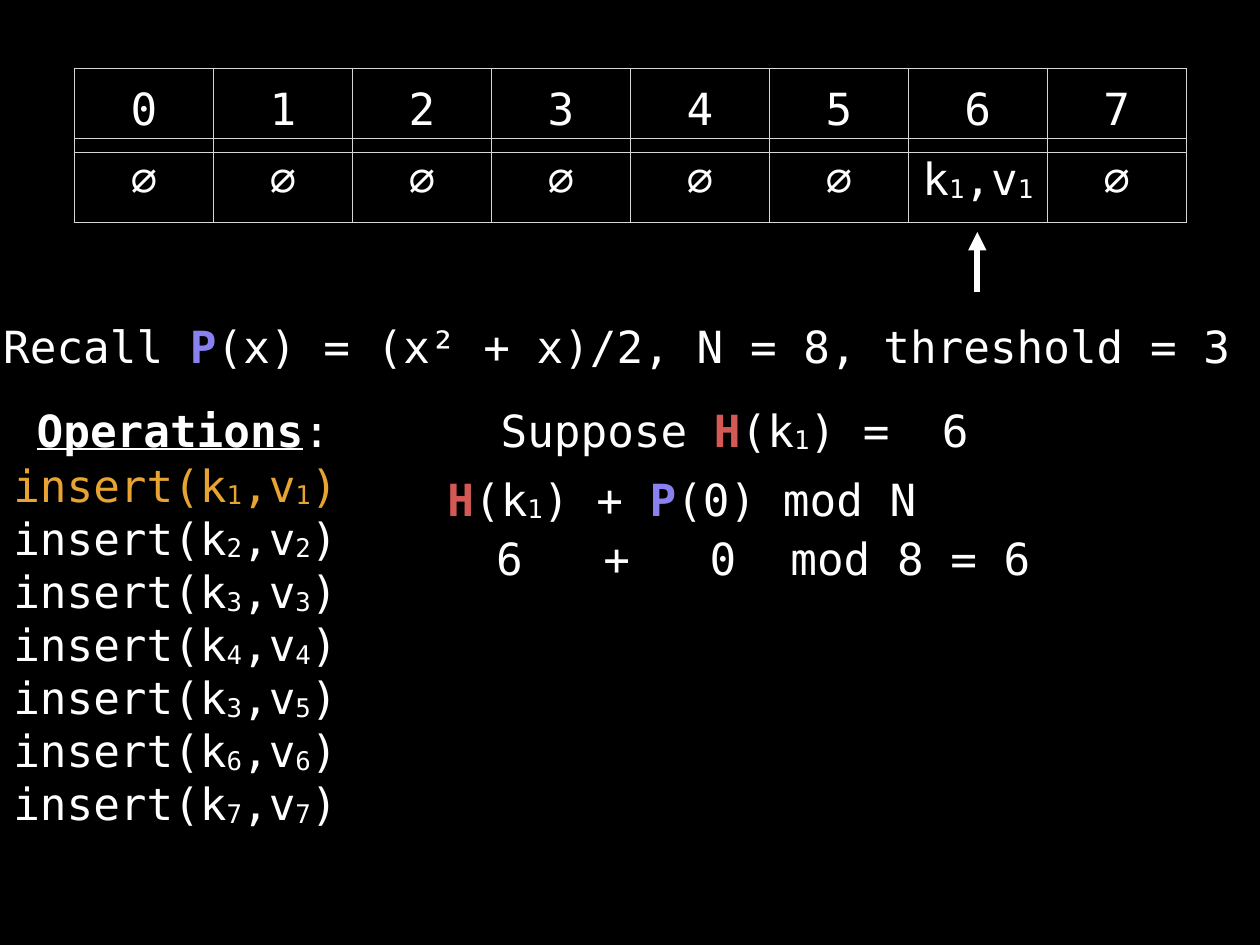
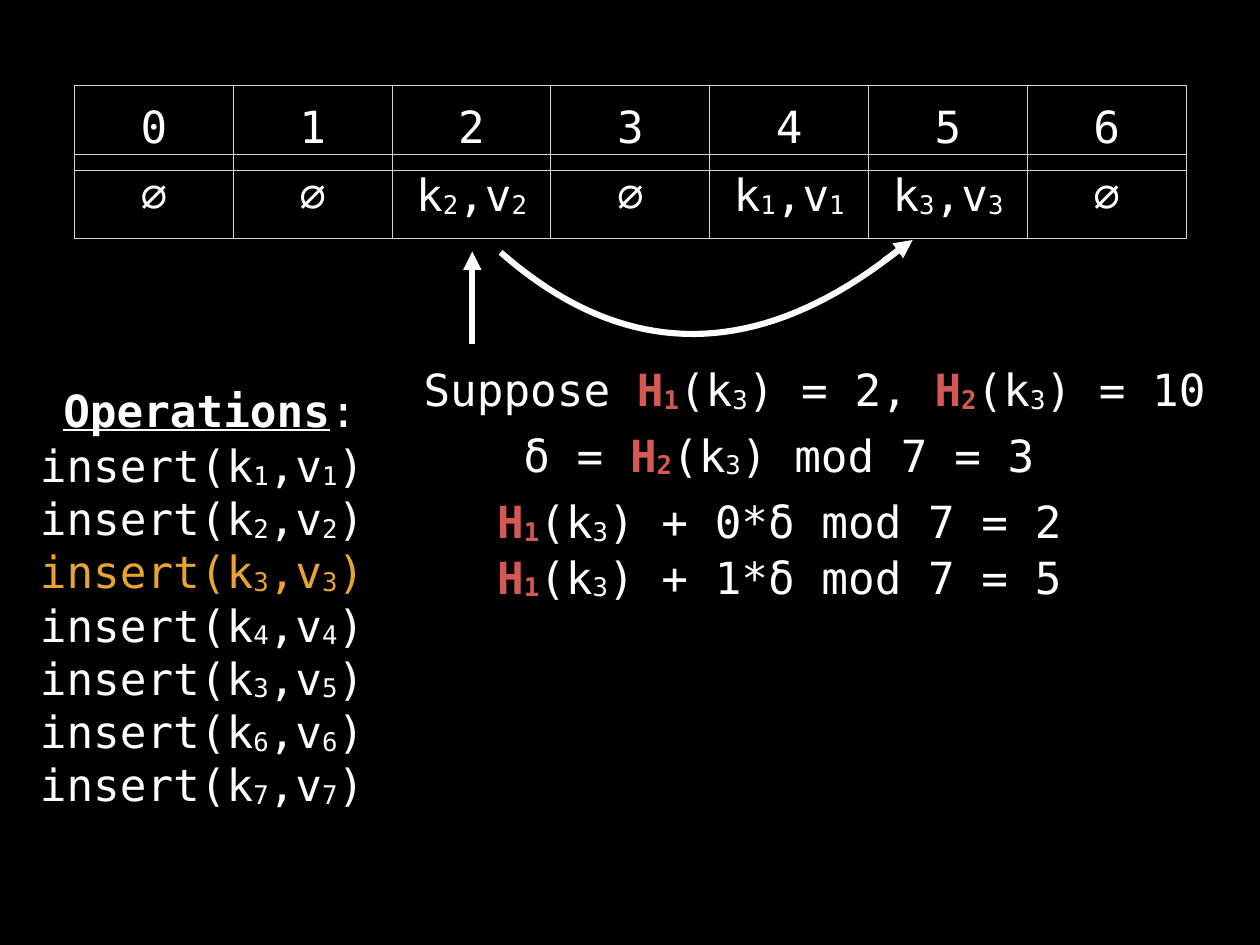
import pptx
import pptx.dml.color
import pptx.enum.shapes
import pptx.enum.text
import pptx.oxml
import pptx.oxml.ns
import pptx.util
from pptx.util import Inches

FONT = "DejaVu Sans Mono"
SIZE = 36
WHITE, BLACK, GRID, ACTIVE = "FFFFFF", "000000", "D6D6D6", "E8A432"
FUNCTION_COLORS = {"H": "D45854", "P": "8981F0"}
EMPTY = "∅"
INSET = 0.06
LINE_HEIGHT = 0.68
TABLE_LEFT, TABLE_WIDTH, TABLE_HEIGHT = 0.84, 12.55, 0.95

# Content: "_" puts the next character in subscript, H and P are coloured
OPERATIONS = ["insert(k_1,v_1)", "insert(k_2,v_2)", "insert(k_3,v_3)", "insert(k_4,v_4)",
              "insert(k_3,v_5)", "insert(k_6,v_6)", "insert(k_7,v_7)"]

# Each line of working: text, left, top, width, centred, tab stops
SLIDES = [
    {
        "slots": [EMPTY] * 6 + ["k_1,v_1", EMPTY],
        "index_top": 0.77, "slot_top": 1.56,
        "heading": (0.35, 4.49), "list": (0.09, 5.11), "active": 0,
        "working": [
            ("Recall P(x) = (x² + x)/2, N = 8, threshold = 3", 0, 3.55, 13.92, True, []),
            ("Suppose H(k_1) =\t6", 5.59, 4.49, 5.44, False, [4.98]),
            ("H(k_1) + P(0) mod N", 4.99, 5.27, 5.6, False, []),
            ("\t6\t+\t0\tmod 8 = 6", 4.94, 5.94, 6.9, False, [0.6, 1.81, 3.01, 3.92]),
        ],
        "arrows": [((11.03, 3.3), (11.03, 2.62))],
        "curve": None,
    },
    {
        "slots": [EMPTY, EMPTY, "k_2,v_2", EMPTY, "k_1,v_1", "k_3,v_3", EMPTY],
        "index_top": 0.97, "slot_top": 1.74,
        "heading": (0.65, 4.27), "list": (0.39, 4.89), "active": 2,
        "working": [
            ("Suppose H_1(k_3) = 2, H_2(k_3) = 10", 4.72, 4.03, 9.06, False, []),
            ("δ = H_2(k_3) mod 7 = 3", 5.82, 4.77, 5.94, True, []),
            ("H_1(k_3) + 0*δ mod 7 = 2", 5.52, 5.52, 6.55, True, []),
            ("H_1(k_3) + 1*δ mod 7 = 5", 5.52, 6.15, 6.55, True, []),
        ],
        "arrows": [((5.33, 3.88), (5.33, 2.84)), ((9.97, 2.95), (10.3, 2.71))],
        "curve": ((10.16, 2.81), (8.57, 4.08), (7.06, 4.09), (5.65, 2.85)),
    },
]


def rgb(value):
    return pptx.dml.color.RGBColor.from_string(value)


def element(xml):
    return pptx.oxml.parse_xml(xml.replace(">", " " + pptx.oxml.ns.nsdecls("a") + ">", 1)
                               if "/>" not in xml.split(">", 1)[0] + ">"
                               else xml.replace("/>", " " + pptx.oxml.ns.nsdecls("a") + "/>", 1))


# Text
def split_runs(text):
    """Return [characters, function letter, is subscript] for each run."""
    runs, function, subscript = [], "", False
    for character in text:
        if character == "_":
            subscript = True
            continue
        if not subscript:
            function = character if character in FUNCTION_COLORS else ""
        if runs and runs[-1][1:] == [function, subscript]:
            runs[-1][0] += character
        else:
            runs.append([character, function, subscript])
        subscript = False
    return runs


def add_run(paragraph, text, color=WHITE, bold=False, underline=False):
    run = paragraph.add_run()
    run.text = text
    run.font.name, run.font.size = FONT, pptx.util.Pt(SIZE)
    run.font.bold, run.font.underline = bold, underline
    run.font.color.rgb = rgb(color)
    return run


def write(paragraph, text, color=WHITE, centred=False):
    alignment = pptx.enum.text.PP_ALIGN
    paragraph.alignment = alignment.CENTER if centred else alignment.LEFT
    for characters, function, subscript in split_runs(text):
        run = add_run(paragraph, characters, FUNCTION_COLORS.get(function, color), bool(function))
        if subscript:
            run.font._element.set("baseline", "-6000")


def set_insets(target):
    target.margin_left = target.margin_right = Inches(INSET)
    target.margin_top = target.margin_bottom = Inches(INSET)


def place(shape, left, top, width, height, wrap):
    shape.left, shape.top = Inches(left), Inches(top)
    shape.width, shape.height = Inches(width), Inches(height)
    frame = shape.text_frame
    set_insets(frame)
    frame.word_wrap = wrap
    frame.auto_size = pptx.enum.text.MSO_AUTO_SIZE.NONE
    frame.vertical_anchor = pptx.enum.text.MSO_ANCHOR.TOP
    return frame


def add_heading(slide, left, top):
    frame = place(slide.shapes.title, left, top, 3.44, LINE_HEIGHT, False)
    paragraph = frame.paragraphs[0]
    paragraph.alignment = pptx.enum.text.PP_ALIGN.CENTER
    add_run(paragraph, "Operations", bold=True, underline=True)
    add_run(paragraph, ":")


def add_operations(slide, left, top, active):
    frame = place(slide.placeholders[1], left, top, 4.14, 4.1, True)
    for index, operation in enumerate(OPERATIONS):
        paragraph = frame.add_paragraph() if index else frame.paragraphs[0]
        properties = paragraph._p.get_or_add_pPr()
        properties.set("marL", "0")
        properties.set("indent", "0")
        properties.append(element("<a:buNone/>"))
        paragraph.space_before = pptx.util.Pt(0)
        write(paragraph, operation, ACTIVE if index == active else WHITE)


def add_working(slide, text, left, top, width, centred, stops):
    box = slide.shapes.add_textbox(0, 0, 0, 0)
    paragraph = place(box, left, top, width, LINE_HEIGHT, not centred).paragraphs[0]
    if stops:
        tabs = "".join(f'<a:tab pos="{Inches(stop)}" algn="l"/>' for stop in stops)
        paragraph._p.get_or_add_pPr().append(element(f"<a:tabLst>{tabs}</a:tabLst>"))
    write(paragraph, text, centred=centred)


# Table
def add_row(slide, values, top):
    table = slide.shapes.add_table(1, len(values), Inches(TABLE_LEFT), Inches(top),
                                   Inches(TABLE_WIDTH), Inches(TABLE_HEIGHT)).table
    table.first_row = table.horz_banding = False
    for column, value in enumerate(values):
        table.columns[column].width = Inches(TABLE_WIDTH / len(values))
        cell = table.cell(0, column)
        set_insets(cell)
        cell.vertical_anchor = pptx.enum.text.MSO_ANCHOR.MIDDLE
        cell.fill.background()
        for order, side in enumerate("LRTB"):
            border = element(f'<a:ln{side} w="12700"><a:solidFill><a:srgbClr val="{GRID}"/>'
                             f"</a:solidFill></a:ln{side}>")
            cell._tc.get_or_add_tcPr().insert(order, border)
        write(cell.text_frame.paragraphs[0], value, centred=True)


# Arrows and curve
def style_line(shape):
    shape.line.color.rgb = rgb(WHITE)
    shape.line.width = pptx.util.Pt(5)


def add_arrow(slide, start, end):
    arrow = slide.shapes.add_connector(pptx.enum.shapes.MSO_CONNECTOR.STRAIGHT,
                                       *map(Inches, start + end))
    style_line(arrow)
    arrow.line._get_or_add_ln().append(element('<a:tailEnd type="triangle"/>'))
    arrow._element.spPr.append(element("<a:effectLst/>"))


def add_curve(slide, controls, steps=40):
    points = []
    for step in range(steps + 1):
        t = step / steps
        weights = ((1 - t) ** 3, 3 * t * (1 - t) ** 2, 3 * t ** 2 * (1 - t), t ** 3)
        points.append(tuple(Inches(sum(weight * point[axis] for weight, point
                                       in zip(weights, controls))) for axis in (0, 1)))
    builder = slide.shapes.build_freeform(*points[0])
    builder.add_line_segments(points[1:], close=False)
    curve = builder.convert_to_shape()
    curve.shadow.inherit = False
    curve.fill.background()
    style_line(curve)


def main():
    presentation = pptx.Presentation()
    presentation.slide_width, presentation.slide_height = Inches(14.22), Inches(10.67)
    background = presentation.slide_master.background.fill
    background.solid()
    background.fore_color.rgb = rgb(BLACK)

    for content in SLIDES:
        slide = presentation.slides.add_slide(presentation.slide_layouts[1])
        add_row(slide, content["slots"], content["slot_top"])
        add_row(slide, [str(index) for index in range(len(content["slots"]))],
                content["index_top"])
        add_heading(slide, *content["heading"])
        add_operations(slide, *content["list"], content["active"])
        for line in content["working"]:
            add_working(slide, *line)
        if content["curve"]:
            add_curve(slide, content["curve"])
        for start, end in content["arrows"]:
            add_arrow(slide, start, end)

    presentation.save("out.pptx")


if __name__ == "__main__":
    main()
